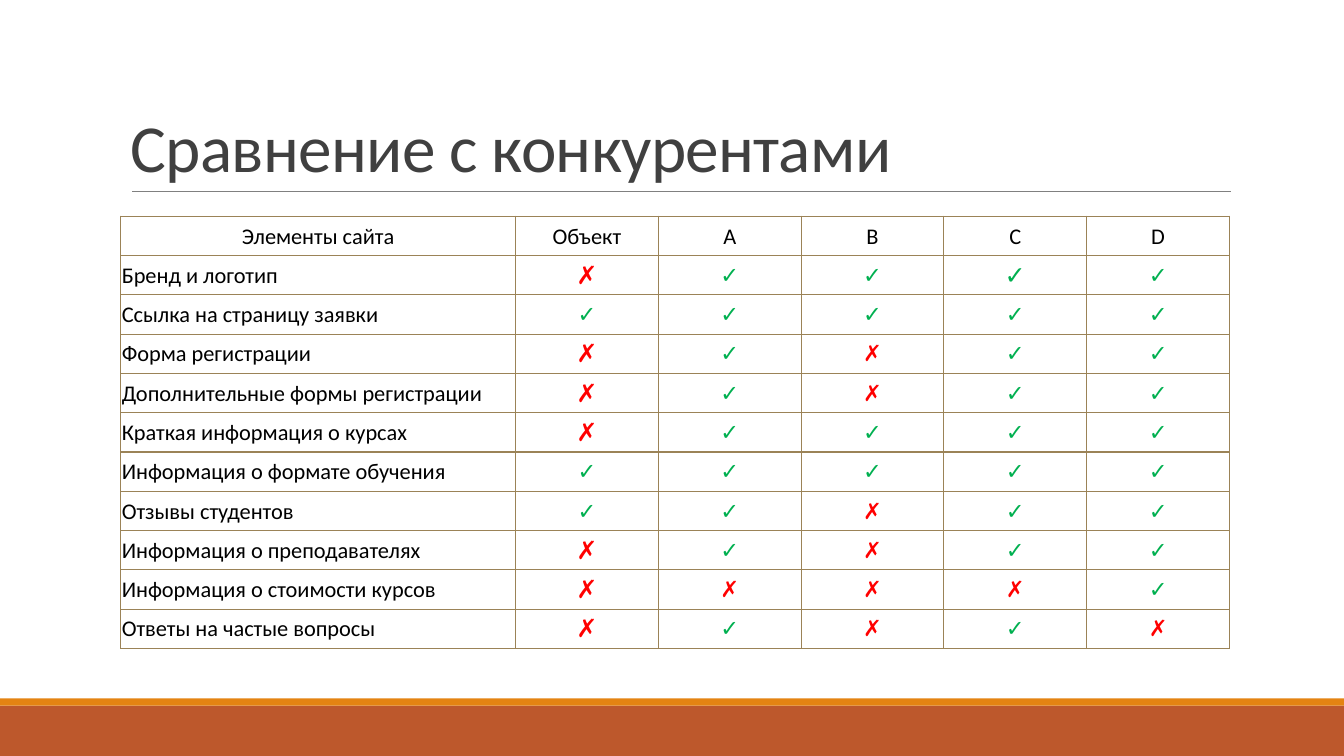
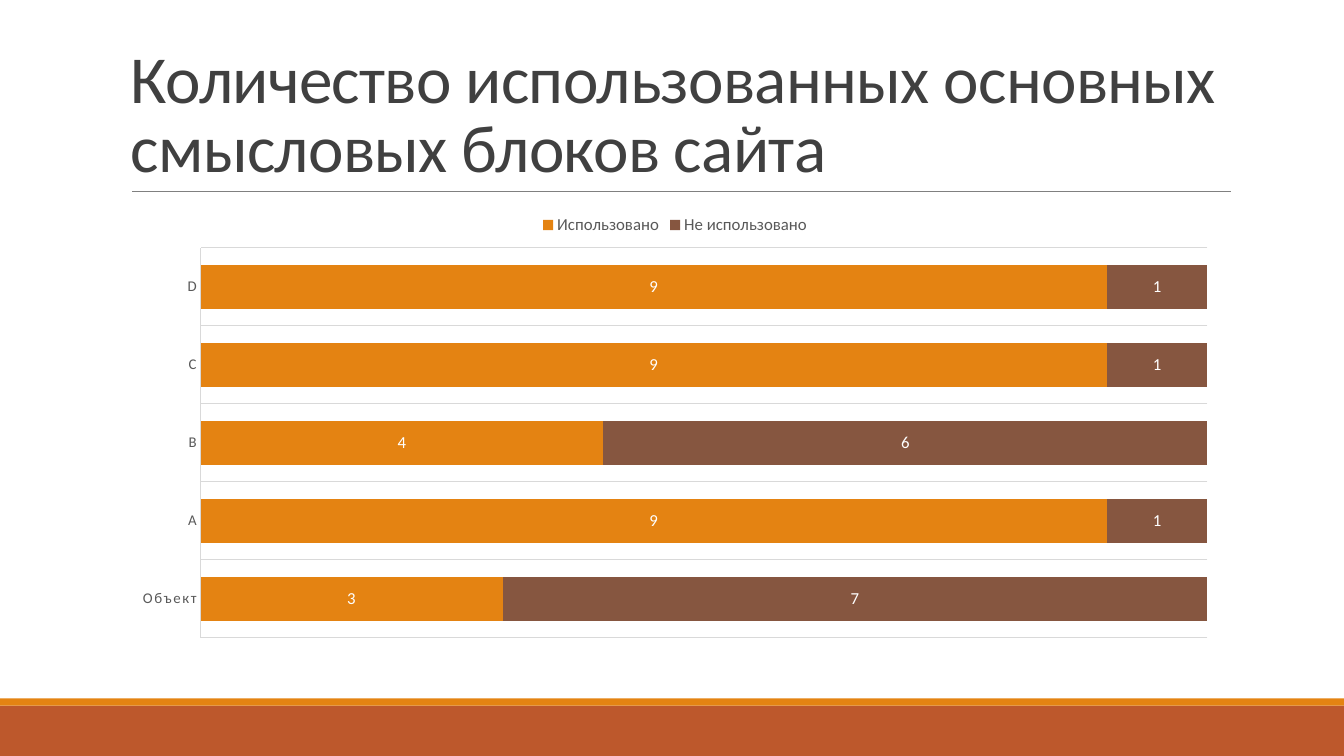
from lxml import etree
from pptx import Presentation
from pptx.chart.data import CategoryChartData
from pptx.dml.color import RGBColor
from pptx.enum.chart import (XL_CHART_TYPE, XL_LABEL_POSITION,
                             XL_LEGEND_POSITION, XL_TICK_MARK)
from pptx.enum.shapes import MSO_CONNECTOR, MSO_SHAPE
from pptx.enum.text import MSO_ANCHOR, MSO_AUTO_SIZE, PP_ALIGN
from pptx.oxml.ns import qn
from pptx.util import Emu, Pt

LEFT, CENTER = PP_ALIGN.LEFT, PP_ALIGN.CENTER
MIDDLE, BOTTOM = MSO_ANCHOR.MIDDLE, MSO_ANCHOR.BOTTOM
NO_TICKS = XL_TICK_MARK.NONE

SLIDE_W, SLIDE_H = 1280, 720
TITLE_ONLY = 5
FONT = "Calibri"
ORANGE, RUST, BROWN = "E48312", "BD582C", "865640"
TITLE_GREY, RULE_GREY, LABEL_GREY, GRID_GREY = "404040", "808080", "595959", "D9D9D9"
BLACK, WHITE, TABLE_LINE = "000000", "FFFFFF", "9B8357"
YES, NO = "✓", "✗"
MARK_COLORS = {YES: "00B050", NO: "FF0000"}

TITLE_BOX = (115, 30, 1056, 152)
TABLE_BOX = (115, 206, 1056, 412)
CHART_BOX = (115, 194, 1056, 422)
MARK_COL_W = 136

SITES = ["Объект", "A", "B", "C", "D"]
COMPARISON = [
    ("Бренд и логотип", "✗✓✓✓✓"),
    ("Ссылка на страницу заявки", "✓✓✓✓✓"),
    ("Форма регистрации", "✗✓✗✓✓"),
    ("Дополнительные формы регистрации", "✗✓✗✓✓"),
    ("Краткая информация о курсах", "✗✓✓✓✓"),
    ("Информация о формате обучения", "✓✓✓✓✓"),
    ("Отзывы студентов", "✓✓✗✓✓"),
    ("Информация о преподавателях", "✗✓✗✓✓"),
    ("Информация о стоимости курсов", "✗✗✗✗✓"),
    ("Ответы на частые вопросы", "✗✓✗✓✗"),
]
LARGE_CHECK = (1, 4)
USAGE = [("Использовано", (3, 9, 4, 9, 9), ORANGE),
         ("Не использовано", (7, 1, 6, 1, 1), BROWN)]


def px(n):
    return Emu(n * 9525)


def rgb(color):
    return RGBColor.from_string(color)


def style_font(font, size, color, bold=False):
    font.name, font.size, font.bold = FONT, Pt(size), bold
    font.color.rgb = rgb(color)


def style_line(line, color, width):
    line.color.rgb = rgb(color)
    line.width = Pt(width)


def add_band(s, top, height, color):
    band = s.shapes.add_shape(MSO_SHAPE.RECTANGLE, 0, px(top), px(SLIDE_W), px(height))
    band.shadow.inherit = False
    band.fill.solid()
    band.fill.fore_color.rgb = rgb(color)
    band.line.fill.background()
    return band


def add_title_rule(s):
    rule = s.shapes.add_connector(MSO_CONNECTOR.STRAIGHT, px(126), px(182), px(1172), px(182))
    style_line(rule.line, RULE_GREY, 0.5)
    etree.SubElement(rule.element.spPr, qn("a:effectLst"))
    return rule


def set_up_layout(layout, s):
    """Place the title in the layout and move the shared decor there from slide s."""
    title = layout.placeholders[0]
    title.left, title.top, title.width, title.height = map(px, TITLE_BOX)
    title.text_frame.vertical_anchor = BOTTOM
    title.text_frame.auto_size = MSO_AUTO_SIZE.NONE
    decor = [add_band(s, 672, 48, RUST), add_band(s, 665, 7, ORANGE), add_title_rule(s)]
    for number, shape in enumerate(decor, 101):
        shape.element.xpath(".//p:cNvPr")[0].set("id", str(number))
        layout.shapes.element.append(shape.element)


def set_title(s, text):
    p = s.shapes.title.text_frame.paragraphs[0]
    p.alignment = LEFT
    p.line_spacing = 0.85
    r = p.add_run()
    r.text = text
    style_font(p.font, 48, TITLE_GREY)
    r.font.element.set("spc", "-50") if hasattr(r.font, "element") else \
        p.runs[0].font.bold
    for rpr in s.shapes.title.element.xpath(".//a:r/a:rPr | .//a:defRPr"):
        rpr.set("spc", "-50")


def set_borders(cell):
    props = cell._tc.get_or_add_tcPr()
    for position, side in enumerate(("lnL", "lnR", "lnT", "lnB")):
        line = etree.Element(qn(f"a:{side}"), w=str(Pt(1)))
        fill = etree.SubElement(line, qn("a:solidFill"))
        etree.SubElement(fill, qn("a:srgbClr"), val=TABLE_LINE)
        props.insert(position, line)


def fill_cell(cell, text, size, color, align, bold=False):
    cell.fill.background()
    cell.vertical_anchor = MIDDLE
    cell.margin_left = cell.margin_top = cell.margin_right = px(1)
    cell.margin_bottom = 0
    set_borders(cell)
    p = cell.text_frame.paragraphs[0]
    p.text = text
    p.alignment = align
    style_font(p.font, size, color, bold)


def add_comparison_table(s, box):
    left, top, width, height = map(px, box)
    n_rows, n_cols = len(COMPARISON) + 1, len(SITES) + 1
    table = s.shapes.add_table(n_rows, n_cols, left, top, width, height).table
    table.first_row = table.horz_banding = False
    for column in table.columns:
        column.width = px(MARK_COL_W)
    table.columns[0].width = width - px(MARK_COL_W) * len(SITES)
    for row in table.rows:
        row.height = height // n_rows

    for col, heading in enumerate(["Элементы сайта"] + SITES):
        fill_cell(table.cell(0, col), heading, 16, BLACK, CENTER)
    for row, (feature, marks) in enumerate(COMPARISON, 1):
        fill_cell(table.cell(row, 0), feature, 16, BLACK, LEFT)
        for col, mark in enumerate(marks, 1):
            large = (col == 1 and mark == NO) or (row, col) == LARGE_CHECK
            fill_cell(table.cell(row, col), mark, 18 if large else 16,
                      MARK_COLORS[mark], CENTER, bold=True)


def add_usage_chart(s, box):
    data = CategoryChartData()
    data.categories = SITES
    for name, values, _ in USAGE:
        data.add_series(name, values)
    chart = s.shapes.add_chart(XL_CHART_TYPE.BAR_STACKED_100, *map(px, box), data).chart
    style_font(chart.font, 10, BLACK)
    chart.has_title = False
    chart.has_legend = True
    chart.legend.position = XL_LEGEND_POSITION.TOP
    chart.legend.include_in_layout = False
    style_font(chart.legend.font, 12, LABEL_GREY)

    plot = chart.plots[0]
    plot.gap_width, plot.overlap = 79, 100
    plot.vary_by_categories = False
    for series, (_, _, color) in zip(plot.series, USAGE):
        series.format.fill.solid()
        series.format.fill.fore_color.rgb = rgb(color)
        labels = series.data_labels
        labels.show_value = True
        labels.position = XL_LABEL_POSITION.CENTER
        style_font(labels.font, 12, WHITE)

    chart.value_axis.visible = False
    chart.value_axis.has_major_gridlines = False
    axis = chart.category_axis
    axis.major_tick_mark = axis.minor_tick_mark = NO_TICKS
    axis.has_major_gridlines = True
    for line in (axis.format.line, axis.major_gridlines.format.line):
        style_line(line, GRID_GREY, 0.75)
    style_font(axis.tick_labels.font, 10.6, LABEL_GREY)
    for props in chart.element.xpath(".//c:catAx/c:txPr//a:defRPr"):
        props.set("spc", "120")


def main():
    prs = Presentation()
    prs.slide_width, prs.slide_height = px(SLIDE_W), px(SLIDE_H)
    layout = prs.slide_layouts[TITLE_ONLY]

    s = prs.slides.add_slide(layout)
    set_up_layout(layout, s)
    set_title(s, "Сравнение с конкурентами")
    add_comparison_table(s, TABLE_BOX)

    s = prs.slides.add_slide(layout)
    set_title(s, "Количество использованных основных смысловых блоков сайта")
    add_usage_chart(s, CHART_BOX)

    prs.save("out.pptx")


if __name__ == "__main__":
    main()
